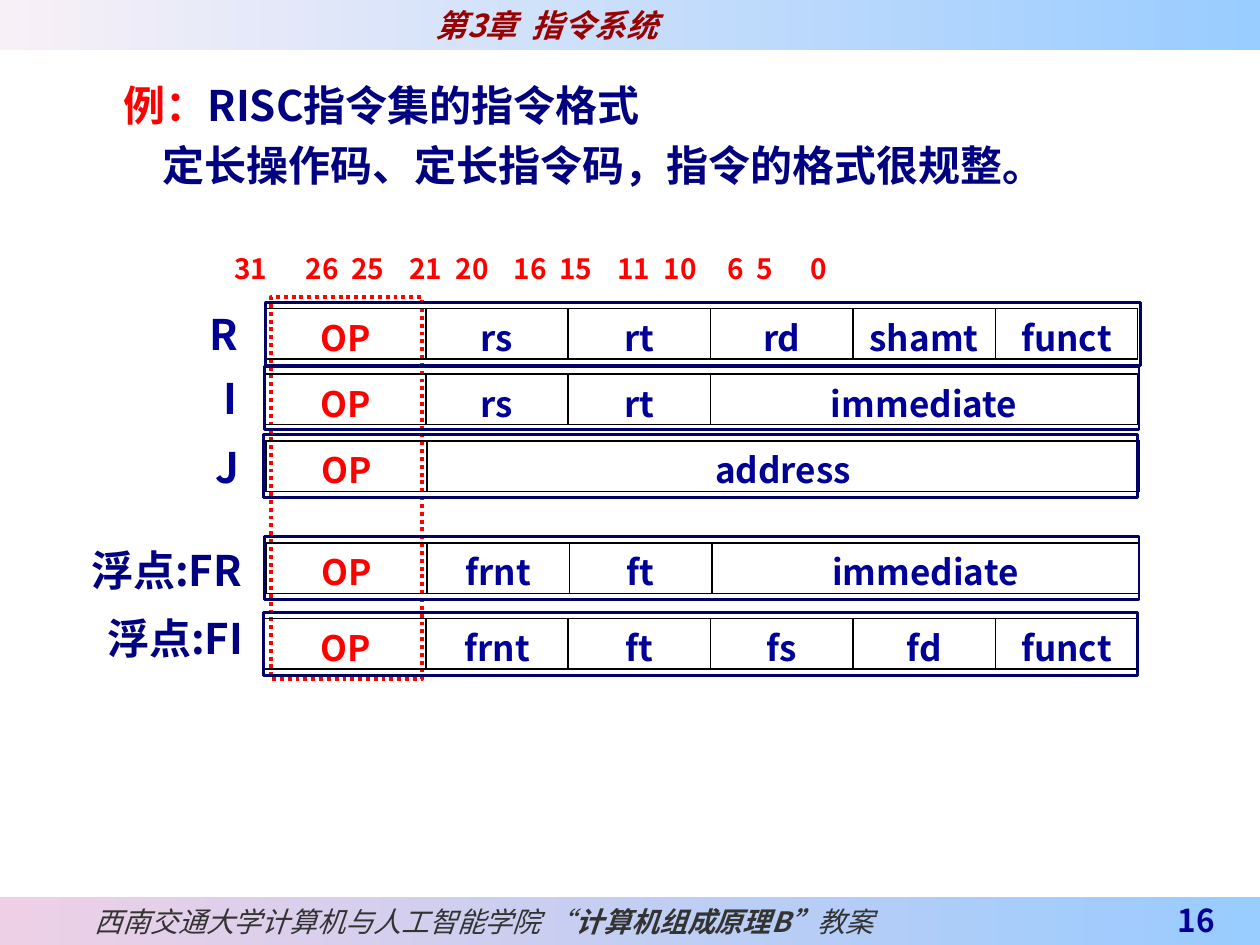
from lxml import etree
from pptx import Presentation
from pptx.dml.color import RGBColor
from pptx.enum import dml, shapes, text
from pptx.oxml import ns
from pptx.util import Inches, Pt

FONT = "Noto Sans CJK SC"
RED = RGBColor(0xFF, 0x00, 0x00)
NAVY = RGBColor(0x00, 0x00, 0x80)
BLUE = RGBColor(0x00, 0x00, 0x99)
FRAME = RGBColor(0x00, 0x00, 0x66)
MAROON = RGBColor(0x99, 0x00, 0x00)
GRAY = RGBColor(0x33, 0x33, 0x33)
SKY = RGBColor(0x99, 0xCC, 0xFF)
PINK = RGBColor(0xEE, 0xD0, 0xE6)
PALE = RGBColor(0xF8, 0xF0, 0xF7)

CHAPTER = "第3章  指令系统"
HEADING = [("例：", RED), ("RISC指令集的指令格式", NAVY)]
SUMMARY = "定长操作码、定长指令码，指令的格式很规整。"
FOOTER = [("西南交通大学计算机与人工智能学院 “", False),
          ("计算机组成原理B”", True), ("教案", False)]
PAGE = "16"

# bit number, centre of its column on the slide
BITS = [(31, 1.99), (26, 2.56), (25, 2.92), (21, 3.38), (20, 3.75), (16, 4.21),
        (15, 4.57), (11, 5.03), (10, 5.40), (6, 5.84), (5, 6.07), (0, 6.50)]

# label, colour, label right and top, table left and top, frame left and top, fields
FORMATS = [
    ("R", BLUE, (1.89, 2.49), (2.10, 2.45), (2.11, 2.40),
     ["OP", "rs", "rt", "rd", "shamt", "funct"]),
    ("I", BLUE, (1.88, 3.00), (2.10, 2.97), (2.10, 2.91),
     ["OP", "rs", "rt", "immediate"]),
    ("J", BLUE, (1.90, 3.55), (2.11, 3.50), (2.09, 3.45),
     ["OP", "address"]),
    ("浮点:FR", NAVY, (1.92, 4.37), (2.11, 4.31), (2.10, 4.26),
     ["OP", "frnt", "ft", "immediate"]),
    ("浮点:FI", NAVY, (1.93, 4.91), (2.10, 4.91), (2.09, 4.86),
     ["OP", "frnt", "ft", "fs", "fd", "funct"]),
]
OP_W, FIELD_W, FIELDS = 1.28, 1.13, 5


def add_run(par, words, size, color, bold=True, italic=False):
    run = par.add_run()
    run.text = words
    font = run.font
    font.name, font.size, font.bold, font.italic = FONT, Pt(size), bold, italic
    font.color.rgb = color
    east = etree.SubElement(run._r.get_or_add_rPr(), ns.qn("a:ea"))
    east.set("typeface", FONT)


def set_insets(frame, left=0, top=0, right=0, bottom=0):
    frame.margin_left, frame.margin_top = Inches(left), Inches(top)
    frame.margin_right, frame.margin_bottom = Inches(right), Inches(bottom)


def add_text(slide, *box):
    frame = slide.shapes.add_textbox(*map(Inches, box)).text_frame
    frame.word_wrap = True
    return frame


def add_rect(slide, *box):
    rect = slide.shapes.add_shape(shapes.MSO_SHAPE.RECTANGLE, *map(Inches, box))
    rect.shadow.inherit = False
    return rect


def add_band(slide, top, height, start, indent):
    """Add a full-width gradient strip and return its paragraph."""
    band = add_rect(slide, 0, top, 10, height)
    band.line.fill.background()
    band.fill.gradient()
    band.fill.gradient_angle = 0
    for stop, color in zip(band.fill.gradient_stops, (start, SKY)):
        stop.color.rgb = color
    frame = band.text_frame
    set_insets(frame, left=indent)
    frame.vertical_anchor = text.MSO_ANCHOR.MIDDLE
    par = frame.paragraphs[0]
    par.alignment = text.PP_ALIGN.LEFT
    return par


def add_frame(slide, box, color, width):
    rect = add_rect(slide, *box)
    rect.fill.background()
    rect.line.color.rgb = color
    rect.line.width = Pt(width)
    return rect


def add_heading(slide):
    title = slide.shapes.title
    title.left, title.top, title.width, title.height = map(
        Inches, (0.88, 0.5, 9.12, 1.07))
    frame = title.text_frame
    frame.word_wrap = True
    frame.auto_size = text.MSO_AUTO_SIZE.NONE
    frame.vertical_anchor = text.MSO_ANCHOR.TOP
    lead, rest = frame.paragraphs[0], frame.add_paragraph()
    for par in (lead, rest):
        par.alignment = text.PP_ALIGN.LEFT
        par.line_spacing = 1.2
    for words, color in HEADING:
        add_run(lead, words, 24, color)
    rest._p.get_or_add_pPr().set("marL", str(Inches(0.31)))
    add_run(rest, SUMMARY, 24, NAVY)


def add_ruler(slide):
    """Add the bit numbers, each centred on its own tab stop."""
    left, inset = 1.52, 0.1
    frame = add_text(slide, left, 1.94, 7.66, 0.41)
    frame.vertical_anchor = text.MSO_ANCHOR.MIDDLE
    par = frame.paragraphs[0]
    par.line_spacing = 0.9
    tabs = etree.SubElement(par._p.get_or_add_pPr(), ns.qn("a:tabLst"))
    for _, mid in BITS:
        etree.SubElement(tabs, ns.qn("a:tab"),
                         pos=str(Inches(mid - left - inset)), algn="ctr")
    add_run(par, "".join(f"\t{bit}" for bit, _ in BITS), 16, RED)


def add_borders(cell):
    props = cell._tc.get_or_add_tcPr()
    for i, side in enumerate(("lnL", "lnR", "lnT", "lnB")):
        line = etree.Element(ns.qn(f"a:{side}"), w=str(Pt(1)))
        fill = etree.SubElement(line, ns.qn("a:solidFill"))
        etree.SubElement(fill, ns.qn("a:srgbClr"), val="000000")
        props.insert(i, line)


def add_fields(slide, left, top, names):
    """Add one instruction word; its last field takes the remaining width."""
    last = FIELDS - (len(names) - 2)
    widths = [OP_W] + [FIELD_W] * (len(names) - 2) + [FIELD_W * last]
    table = slide.shapes.add_table(
        1, len(names), Inches(left), Inches(top),
        Inches(sum(widths)), Inches(0.4)).table
    table.first_row = table.horz_banding = False
    for i, (name, width) in enumerate(zip(names, widths)):
        table.columns[i].width = Inches(width)
        cell = table.cell(0, i)
        cell.fill.background()
        add_borders(cell)
        par = cell.text_frame.paragraphs[0]
        par.alignment = text.PP_ALIGN.CENTER
        par.line_spacing = 0.9
        add_run(par, name, 20, RED if name == "OP" else BLUE)


def main():
    deck = Presentation()
    deck.slide_width, deck.slide_height = Inches(10), Inches(7.5)
    slide = deck.slides.add_slide(deck.slide_layouts[5])

    foot = add_band(slide, 7.12, 0.38, PINK, 0.75)
    for words, bold in FOOTER:
        add_run(foot, words, 16, GRAY, bold, True)
    page = add_text(slide, 8.66, 7.12, 1.08, 0.38)
    set_insets(page, 0.1, 0, 0.1, 0.05)
    page.vertical_anchor = text.MSO_ANCHOR.BOTTOM
    page.paragraphs[0].alignment = text.PP_ALIGN.RIGHT
    add_run(page.paragraphs[0], PAGE, 18, BLUE)
    add_run(add_band(slide, 0, 0.4, PALE, 3.46), CHAPTER, 18, MAROON, italic=True)

    add_heading(slide)
    add_ruler(slide)
    opcode = add_frame(slide, (2.15, 2.36, 1.2, 3.03), RED, 2.25)
    opcode.line.dash_style = dml.MSO_LINE.ROUND_DOT

    for label, color, (right, top), place, corner, names in FORMATS:
        frame = add_text(slide, right - 1.5, top, 1.5, 0.35)
        set_insets(frame)
        par = frame.paragraphs[0]
        par.alignment = text.PP_ALIGN.RIGHT
        par.line_spacing = 0.9
        add_run(par, label, 24, color)
        add_fields(slide, *place, names)
        add_frame(slide, (*corner, 6.94, 0.5), FRAME, 1.5)

    deck.save("out.pptx")


if __name__ == "__main__":
    main()
